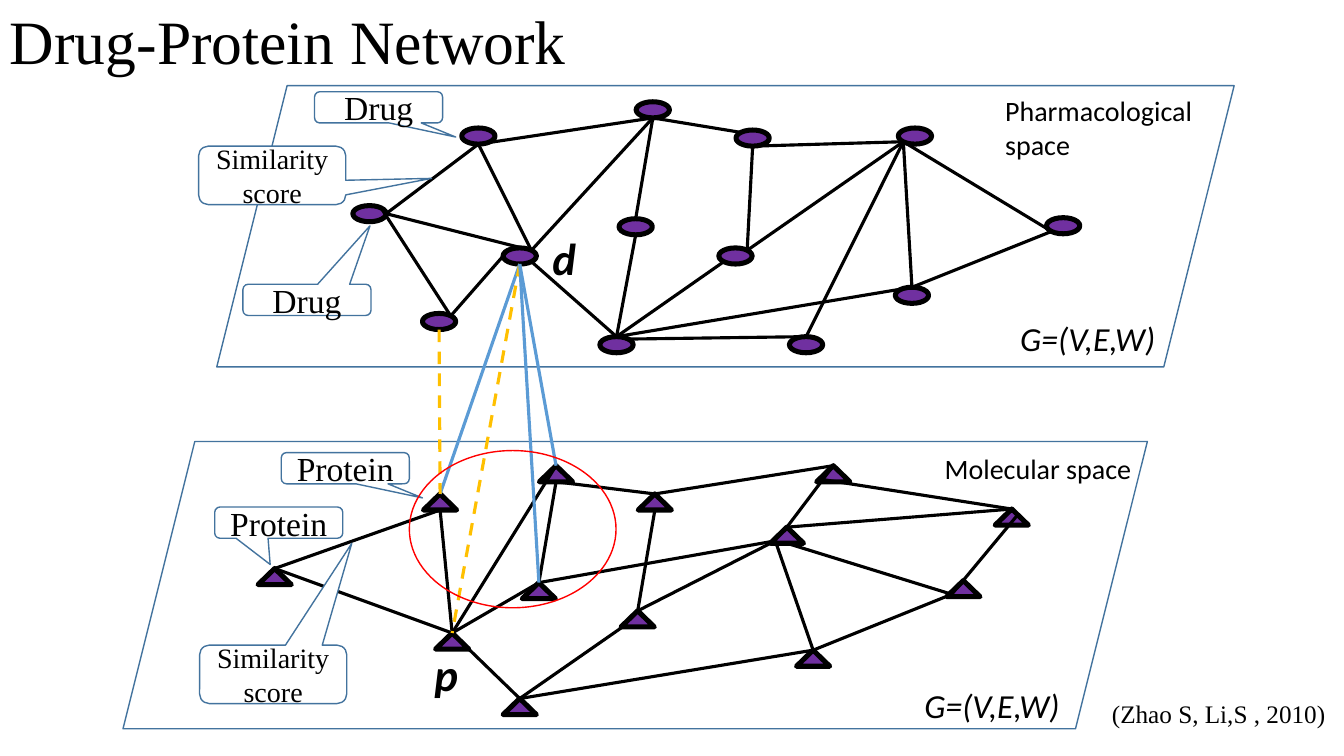
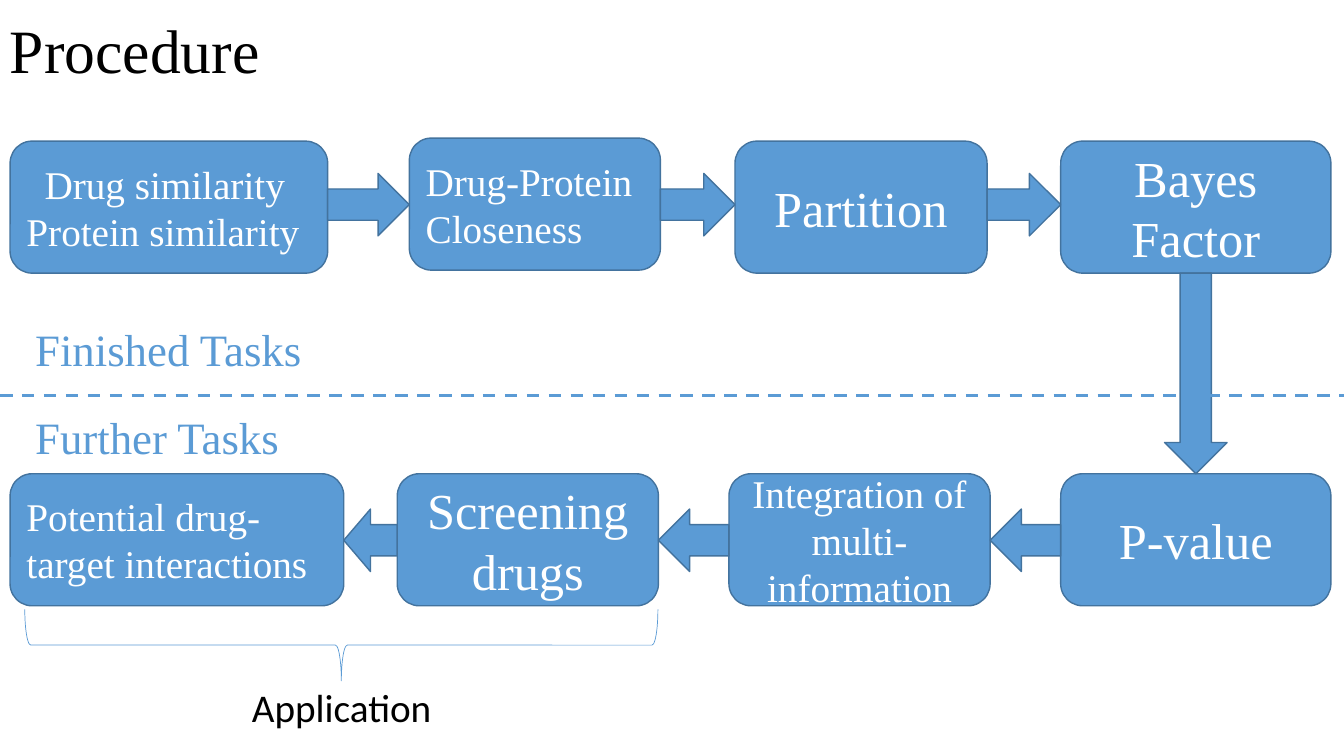
from lxml import etree
from pptx import Presentation
from pptx.dml.color import RGBColor
from pptx.enum.dml import MSO_LINE
from pptx.enum.shapes import MSO_CONNECTOR, MSO_SHAPE
from pptx.enum.text import MSO_ANCHOR, PP_ALIGN
from pptx.oxml.ns import qn
from pptx.util import Inches, Pt

# Shared style
SERIF, SANS = "Times New Roman", "Calibri"
BLACK, WHITE = "000000", "FFFFFF"
BLUE, OUTLINE = "5B9BD5", "43739E"
PURPLE, RED, AMBER = "7030A0", "FF0000", "FFC000"
NODE_WIDTH, NODE_HEIGHT = 0.33, 0.16

# Where an edge meets a node, as fractions of the node's width and height
SITES = {
    "n": (0.5, 0), "s": (0.5, 1), "w": (0, 0.5), "e": (1, 0.5),
    "nw": (0.15, 0.15), "ne": (0.85, 0.15),
    "sw": (0.15, 0.85), "se": (0.85, 0.85),
    "slope": (0.67, 0.38),
}

# Network data: node corners, and edges written as node.site-node.site
DRUGS = {
    "a": (3.5, 2.04), "b": (4.58, 1.27), "c": (6.31, 1.01), "d": (4.99, 2.46),
    "e": (7.3, 1.29), "f": (8.91, 1.27), "g": (10.38, 2.16), "h": (8.88, 2.85),
    "i": (7.83, 3.34), "j": (5.95, 3.34), "k": (7.13, 2.46), "m": (6.14, 2.17),
    "q": (4.19, 3.11),
}
DRUG_EDGES = """
    c.s-e.nw d.nw-q.ne m.n-c.s k.ne-e.s d.ne-c.s b.s-c.s h.n-f.sw
    k.ne-f.sw d.se-j.n j.n-m.s j.n-h.n j.n-k.sw e.s-f.sw f.sw-i.n
    a.ne-q.ne a.e-d.ne h.n-g.sw g.sw-f.sw b.s-d.ne a.e-b.s j.ne-i.n
"""
PROTEINS = {
    "a": (2.56, 5.64), "b": (4.2, 4.9), "c": (5.35, 4.62), "e": (6.33, 4.9),
    "f": (8.1, 4.62), "g": (7.64, 5.23), "h": (9.87, 5.05), "i": (9.39, 5.76),
    "j": (7.9, 6.45), "k": (6.16, 6.06), "m": (5.18, 5.78), "p": (4.32, 6.28),
    "q": (4.99, 6.93),
}
PROTEIN_EDGES = """
    c.s-e.n p.n-b.s m.n-c.s k.n-e.s p.n-c.n m.n-g.sw j.n-g.sw
    k.n-g.sw p.n-q.n p.n-m.n q.n-j.n q.n-k.sw e.n-f.n g.n-f.n
    a.n-b.s a.n-p.n j.n-i.sw i.sw-g.s g.n-h.n h.n-f.sw i.sw-h.slope
"""


def color(value):
    return RGBColor.from_string(value)


def write(frame, lines, size, font=SERIF, ink=BLACK, align=PP_ALIGN.LEFT,
          bold=False, italic=False):
    """Fill a text frame with one paragraph per line."""
    for index, line in enumerate(lines):
        para = frame.paragraphs[0] if index == 0 else frame.add_paragraph()
        para.alignment = align
        span = para.add_run()
        span.text = line
        span.font.name = font
        span.font.size = Pt(size)
        span.font.bold = bold
        span.font.italic = italic
        span.font.color.rgb = color(ink)


def add_text(page, place, text, size, wrap=True, anchor=MSO_ANCHOR.TOP, **style):
    box = page.shapes.add_textbox(*map(Inches, place))
    box.text_frame.word_wrap = wrap
    box.text_frame.vertical_anchor = anchor
    write(box.text_frame, [text], size, **style)
    return box


def add_title(page, text, top, height):
    box = add_text(page, (0, top, 11, height), text, 44, anchor=MSO_ANCHOR.MIDDLE)
    box.text_frame.paragraphs[0].line_spacing = 0.9


def add_figure(page, kind, place, fill=None, line=OUTLINE, width=1):
    figure = page.shapes.add_shape(kind, *map(Inches, place))
    figure.shadow.inherit = False
    if fill:
        figure.fill.solid()
        figure.fill.fore_color.rgb = color(fill)
    else:
        figure.fill.background()
    figure.line.color.rgb = color(line)
    figure.line.width = Pt(width)
    figure.text_frame.word_wrap = True
    figure.text_frame.vertical_anchor = MSO_ANCHOR.MIDDLE
    return figure


def add_line(page, start, end, ink=BLACK, dashed=False):
    line = page.shapes.add_connector(
        MSO_CONNECTOR.STRAIGHT, *map(Inches, (*start, *end)))
    line.line.color.rgb = color(ink)
    line.line.width = Pt(2.25)
    if dashed:
        line.line.dash_style = MSO_LINE.DASH
    etree.SubElement(line.element.spPr, qn("a:effectLst"))


def add_callout(page, place, tip, text, size):
    """Draw a speech bubble whose tail ends at the tip."""
    left, top, width, height = place
    bubble = add_figure(page, MSO_SHAPE.ROUNDED_RECTANGULAR_CALLOUT, place, WHITE)
    bubble.adjustments[0] = (tip[0] - left - width / 2) / width
    bubble.adjustments[1] = (tip[1] - top - height / 2) / height
    write(bubble.text_frame, [text], size, align=PP_ALIGN.CENTER)


def site_point(nodes, address):
    name, site = address.split(".")
    left, top = nodes[name]
    across, down = SITES[site]
    return left + across * NODE_WIDTH, top + down * NODE_HEIGHT


def add_network(page, kind, nodes, edges, plane):
    for corner in nodes.values():
        add_figure(page, kind, (*corner, NODE_WIDTH, NODE_HEIGHT),
                   PURPLE, BLACK, 3.6)
    for edge in edges.split():
        start, end = edge.split("-")
        add_line(page, site_point(nodes, start), site_point(nodes, end))
    add_figure(page, MSO_SHAPE.PARALLELOGRAM, plane)


def build_network(page):
    add_title(page, "Drug-Protein Network", 0, 0.89)
    add_network(page, MSO_SHAPE.ISOSCELES_TRIANGLE, PROTEINS, PROTEIN_EDGES,
                (1.22, 4.38, 10.16, 2.85))
    add_network(page, MSO_SHAPE.OVAL, DRUGS, DRUG_EDGES,
                (2.15, 0.85, 10.09, 2.79))

    # Callouts: corner, tip, text
    for left, top, tip, text in [
        (2.79, 4.49, (4.19, 4.94), "Protein"),
        (2.13, 5.03, (2.68, 5.6), "Protein"),
        (3.12, 0.91, (4.52, 1.36), "Drug"),
        (2.41, 2.82, (3.67, 2.24), "Drug"),
    ]:
        add_callout(page, (left, top, 1.27, 0.31), tip, text, 24)
    for left, top, tip in [(1.98, 6.4, (3.49, 5.39)), (1.97, 1.45, (4.28, 1.77))]:
        add_callout(page, (left, top, 1.46, 0.58), tip, "Similarity score", 20)

    # Names of the two spaces, their formulas and the marked nodes
    add_text(page, (9.27, 4.43, 2.32, 0.44), "Molecular space", 20, font=SANS)
    add_text(page, (9.87, 0.88, 2.21, 0.77), "Pharmacological space", 20, font=SANS)
    for left, top in [(9.07, 6.75), (10.02, 3.1)]:
        add_text(page, (left, top, 1.61, 0.32), "G=(V,E,W)", 24,
                 font=SANS, italic=True)
    for left, top, letter in [(4.21, 6.37, "p"), (5.38, 2.24, "d")]:
        add_text(page, (left, top, 0.27, 0.64), letter, 32,
                 font=SANS, bold=True, italic=True)

    # Links from drugs to proteins
    for drug, protein, ink in [
        ("d.s", "c.n", BLUE), ("d.s", "b.n", BLUE), ("d.s", "p.n", AMBER),
        ("d.s", "m.n", BLUE), ("q.s", "b.n", AMBER),
    ]:
        add_line(page, site_point(DRUGS, drug), site_point(PROTEINS, protein),
                 ink, dashed=ink == AMBER)
    add_figure(page, MSO_SHAPE.OVAL, (4.06, 4.47, 2.05, 1.56), line=RED)
    add_text(page, (10.93, 6.88, 2.36, 0.4), "(Zhao S, Li,S , 2010)", 18, wrap=False)


def add_step(page, place, lines, size, align):
    step = add_figure(page, MSO_SHAPE.ROUNDED_RECTANGLE, place, BLUE)
    write(step.text_frame, lines, size, ink=WHITE, align=align)
    return step


def add_row(page, steps, arrow_kind, arrow_top):
    """Draw one row of steps and fill each gap with an arrow."""
    shapes = [add_step(page, (left, top, width, 1.31), lines, size, align)
              for left, top, width, lines, size, align in steps]
    for before, after in zip(steps, steps[1:]):
        start = before[0] + before[2]
        add_figure(page, arrow_kind,
                   (start, arrow_top, after[0] - start, 0.62), BLUE)
    return shapes


def build_procedure(page):
    add_title(page, "Procedure", 0.12, 0.82)
    left, center = PP_ALIGN.LEFT, PP_ALIGN.CENTER

    # Steps: left, top, width, lines, size, alignment
    finished = add_row(page, [
        (0.1, 1.4, 3.15, ["Drug similarity", "Protein similarity"], 28, left),
        (4.06, 1.37, 2.49, ["Drug-Protein Closeness"], 28, left),
        (7.29, 1.4, 2.5, ["Partition"], 36, center),
        (10.52, 1.4, 2.68, ["Bayes Factor"], 36, center),
    ], MSO_SHAPE.RIGHT_ARROW, 1.72)
    first_line = finished[0].text_frame.paragraphs[0]
    first_line._p.get_or_add_pPr().set("marL", str(Inches(0.18)))
    add_row(page, [
        (0.1, 4.7, 3.31, ["Potential drug-target interactions"], 28, left),
        (3.94, 4.7, 2.59, ["Screening drugs"], 36, center),
        (7.23, 4.7, 2.59, ["Integration of multi-information"], 28, center),
        (10.52, 4.7, 2.68, ["P-value"], 36, center),
    ], MSO_SHAPE.LEFT_ARROW, 5.05)
    add_figure(page, MSO_SHAPE.DOWN_ARROW, (11.55, 2.71, 0.62, 1.99), BLUE)

    # Divider between finished and further tasks
    add_line(page, (0, 3.92), (13.33, 3.92), BLUE, dashed=True)
    for top, text in [(3.14, "Finished Tasks"), (4.02, "Further Tasks")]:
        add_text(page, (0.25, top, 3.01, 0.64), text, 32, ink=BLUE)

    # Brace under the application steps
    brace = add_figure(page, MSO_SHAPE.RIGHT_BRACE, (3.03, 3.26, 0.71, 6.28),
                       line=BLUE, width=0.5)
    brace.rotation = 90
    add_text(page, (2.4, 6.73, 2.02, 0.57), "Application", 28, font=SANS)


def main():
    deck = Presentation()
    deck.slide_width, deck.slide_height = Inches(13.33), Inches(7.5)
    for build in (build_network, build_procedure):
        build(deck.slides.add_slide(deck.slide_layouts[6]))
    deck.save("out.pptx")


if __name__ == "__main__":
    main()
